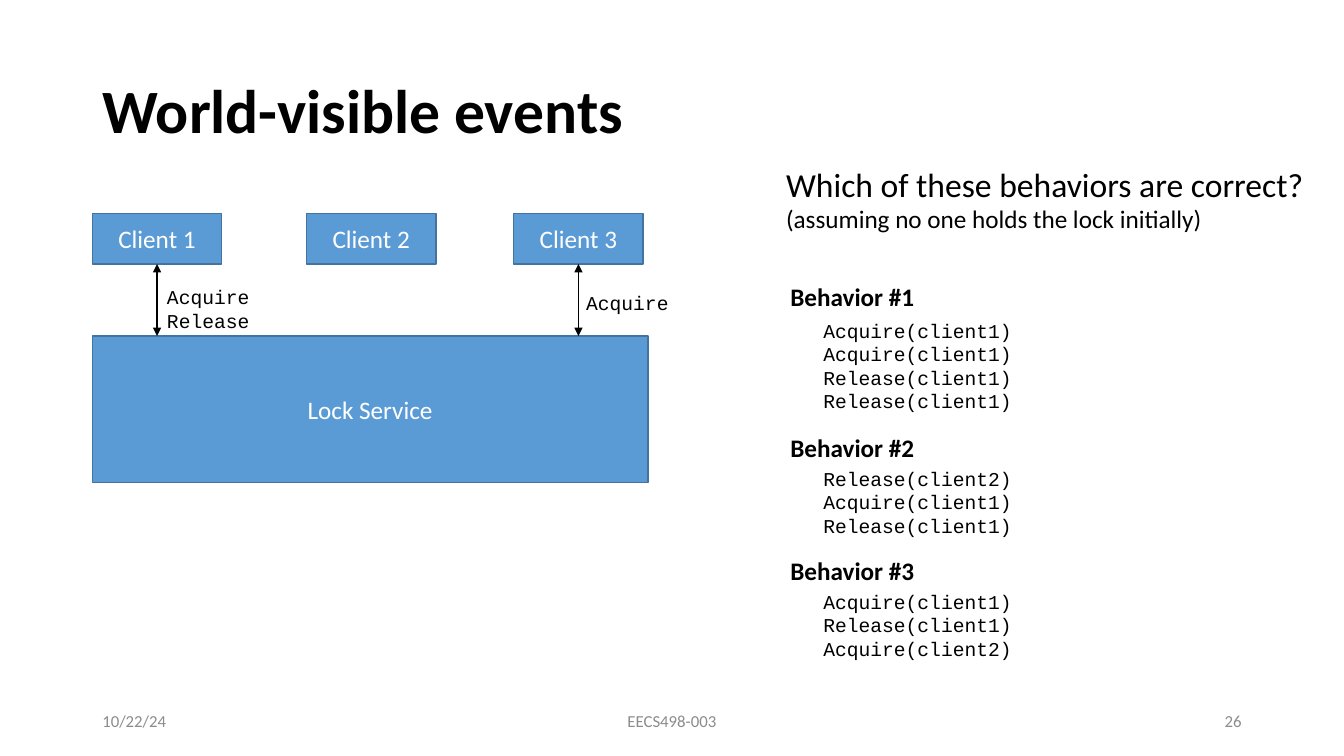
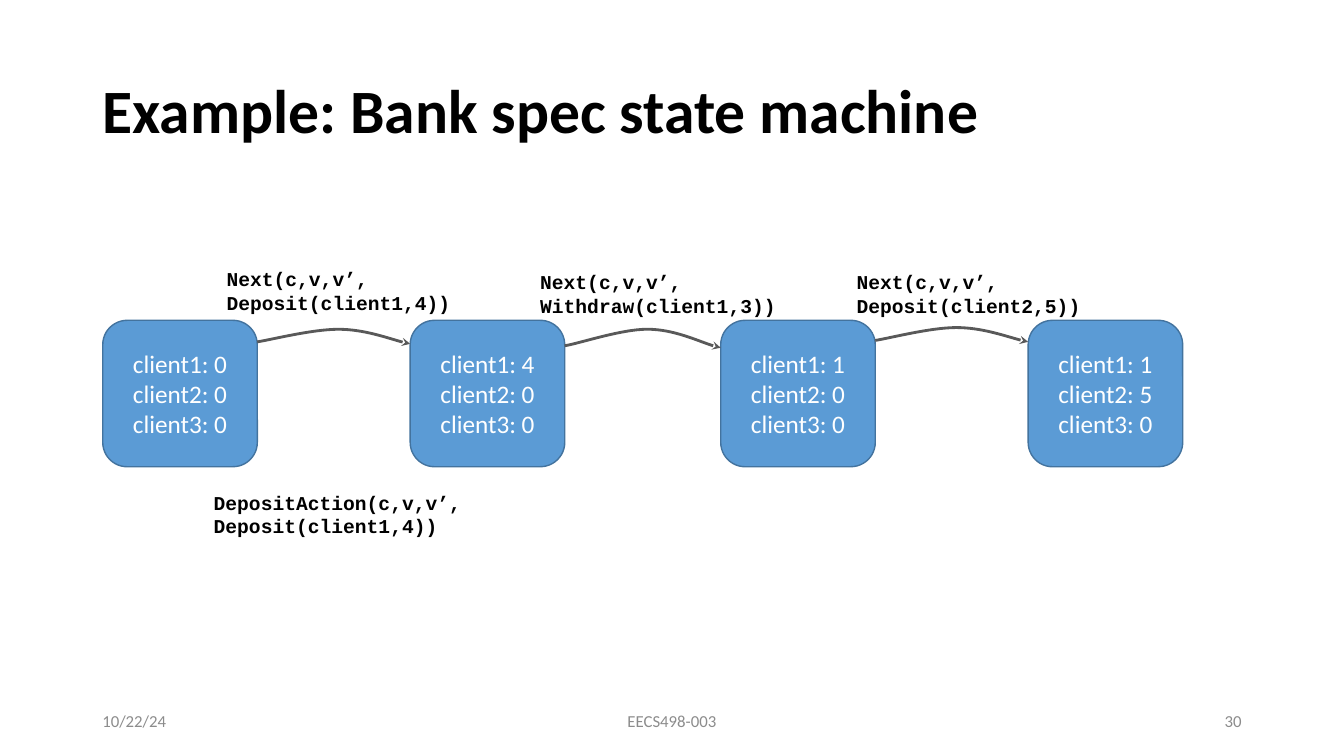
from lxml import etree
from pptx import Presentation
from pptx.dml.color import RGBColor
from pptx.enum.shapes import MSO_CONNECTOR, MSO_SHAPE
from pptx.enum.text import MSO_ANCHOR, PP_ALIGN
from pptx.oxml.ns import qn
from pptx.util import Pt

LEFT, CENTER, RIGHT = PP_ALIGN.LEFT, PP_ALIGN.CENTER, PP_ALIGN.RIGHT
TOP, MIDDLE = MSO_ANCHOR.TOP, MSO_ANCHOR.MIDDLE
RECTANGLE, ROUNDED = MSO_SHAPE.RECTANGLE, MSO_SHAPE.ROUNDED_RECTANGLE
TITLE_ONLY = 5

COLORS = {"text": "000000", "footer": "8C8C8C", "fill": "5B9BD5",
          "border": "43739E", "on_fill": "FFFFFF", "curve": "595959"}
STYLES = {
    "title": {"name": "Calibri", "size": Pt(44), "bold": True, "color": "text"},
    "footer": {"name": "Calibri", "size": Pt(12), "color": "footer"},
    "box": {"name": "Calibri", "size": Pt(18), "color": "on_fill"},
    "question": {"name": "Calibri", "size": Pt(24), "color": "text"},
    "note": {"name": "Calibri", "size": Pt(18), "color": "text"},
    "heading": {"name": "Calibri", "size": Pt(18), "bold": True, "color": "text"},
    "code": {"name": "Courier New", "size": Pt(14), "color": "text"},
    "bold_code": {"name": "Courier New", "size": Pt(14), "bold": True, "color": "text"},
}

TITLE_BOX = (66, 28.8, 828, 104.4)
FOOTER_TOP, FOOTER_HEIGHT = 500.4, 28.8
DATE, COURSE = "10/22/24", "EECS498-003"

CLIENTS = [("Client 1", 66), ("Client 2", 219), ("Client 3", 367)]
CLIENT_TOP, CLIENT_WIDTH, CLIENT_HEIGHT = 152.6, 92.4, 36
SERVICE_BOX = (66, 240, 396.8, 104.6)
CALLING_CLIENTS = [0, 2]
CALL_LABELS = [
    (["Acquire", "Release"], (112.2, 200.2, 85.7, 41)),
    (["Acquire"], (411.6, 204, 77.8, 24.5)),
]
QUESTION = [("Which of these behaviors are correct?", "question"),
            ("(assuming no one holds the lock initially)", "note")]
QUESTION_BOX = (554.4, 113.2, 389.6, 58.2)
BEHAVIORS = [
    ("Behavior #1", 197.4, 224,
     ["Acquire(client1)", "Acquire(client1)", "Release(client1)", "Release(client1)"]),
    ("Behavior #2", 305.2, 329.8,
     ["Release(client2)", "Acquire(client1)", "Release(client1)"]),
    ("Behavior #3", 393, 417.6,
     ["Acquire(client1)", "Release(client1)", "Acquire(client2)"]),
]
HEADING_LEFT, CODE_LEFT = 557.4, 581
CODE_LINE = 16.8

STATES = [(73.4, (0, 0, 0)), (293, (4, 0, 0)), (514.8, (1, 0, 0)), (734.4, (1, 5, 0))]
STATE_TOP, STATE_WIDTH, STATE_HEIGHT = 228.8, 110.4, 104.6
CURVE_STEPS = (0, 0.09, 0.36, 0.53, 0.7, 0.92, 1)
CURVE_HEIGHTS = [(244.2, 235.2, 245.6), (247, 235.2, 248.4), (243.2, 234, 244.2)]
ACTION_LABELS = [
    (["Next(c,v,v’,", "Deposit(client1,4))"], (154.8, 187.2, 177, 41)),
    (["Next(c,v,v’, Withdraw(client1,3))"], (378.8, 189.4, 191, 41)),
    (["Next(c,v,v’, Deposit(client2,5))"], (604.8, 189.4, 181, 41)),
    (["DepositAction(c,v,v’,", "Deposit(client1,4))"], (145.6, 347, 202.4, 41)),
]


def points(*lengths):
    return [Pt(length) for length in lengths]


def color(name):
    return RGBColor.from_string(COLORS[name])


def write(shape, lines, align=LEFT, anchor=TOP):
    frame = shape.text_frame
    frame.word_wrap = True
    frame.vertical_anchor = anchor
    for index, (text, style) in enumerate(lines):
        paragraph = frame.add_paragraph() if index else frame.paragraphs[0]
        paragraph.alignment = align
        run = paragraph.add_run()
        run.text = text
        for key, value in STYLES[style].items():
            if key == "color":
                run.font.color.rgb = color(value)
            else:
                setattr(run.font, key, value)


def styled(lines, style):
    return [(line, style) for line in lines]


def add_text(slide, box, lines, align=LEFT, anchor=TOP):
    write(slide.shapes.add_textbox(*points(*box)), lines, align, anchor)


def add_box(slide, kind, box, lines):
    shape = slide.shapes.add_shape(kind, *points(*box))
    shape.shadow.inherit = False
    shape.fill.solid()
    shape.fill.fore_color.rgb = color("fill")
    shape.line.color.rgb = color("border")
    shape.line.width = Pt(1)
    write(shape, styled(lines, "box"), CENTER, MIDDLE)


def format_line(shape, color_name, width, ends):
    shape.line.color.rgb = color(color_name)
    shape.line.width = Pt(width)
    outline = shape.line._get_or_add_ln()
    for tag, kind in ends.items():
        etree.SubElement(outline, qn(tag), type=kind)


def add_double_arrow(slide, x, top, bottom):
    connector = slide.shapes.add_connector(
        MSO_CONNECTOR.STRAIGHT, *points(x, top, x, bottom))
    format_line(connector, "text", 1, {"a:headEnd": "triangle", "a:tailEnd": "triangle"})
    etree.SubElement(connector._element.spPr, qn("a:effectLst"))


def add_curve(slide, left, right, heights):
    start, peak, end = heights
    rows = (start, start - 1.5, peak, peak, peak, end - 1.5, end)
    nodes = [points(left + (right - left) * step, row)
             for step, row in zip(CURVE_STEPS, rows)]
    builder = slide.shapes.build_freeform(*nodes[0])
    builder.add_line_segments(nodes[1:], close=False)
    shape = builder.convert_to_shape()
    segments = list(shape._element.iter(qn("a:lnTo")))
    for first in range(0, len(segments), 3):
        bezier = etree.Element(qn("a:cubicBezTo"))
        segments[first].addprevious(bezier)
        for segment in segments[first:first + 3]:
            bezier.append(segment[0])
            segment.getparent().remove(segment)
    shape.shadow.inherit = False
    shape.fill.background()
    format_line(shape, "curve", 2, {"a:tailEnd": "stealth"})


def add_slide(presentation, title, number):
    slide = presentation.slides.add_slide(presentation.slide_layouts[TITLE_ONLY])
    placeholder = slide.shapes.title
    for name, length in zip(("left", "top", "width", "height"), TITLE_BOX):
        setattr(placeholder, name, Pt(length))
    write(placeholder, [(title, "title")], LEFT, MIDDLE)
    placeholder.text_frame.paragraphs[0].line_spacing = 0.9
    for text, left, width, align in ((DATE, 66, 216, LEFT), (COURSE, 318, 324, CENTER),
                                     (number, 678, 216, RIGHT)):
        add_text(slide, (left, FOOTER_TOP, width, FOOTER_HEIGHT),
                 [(text, "footer")], align, MIDDLE)
    return slide


def build_events(presentation):
    slide = add_slide(presentation, "World-visible events", "26")
    for name, left in CLIENTS:
        add_box(slide, RECTANGLE, (left, CLIENT_TOP, CLIENT_WIDTH, CLIENT_HEIGHT), [name])
    add_box(slide, RECTANGLE, SERVICE_BOX, ["Lock Service"])
    for index in CALLING_CLIENTS:
        add_double_arrow(slide, CLIENTS[index][1] + CLIENT_WIDTH / 2,
                         CLIENT_TOP + CLIENT_HEIGHT, SERVICE_BOX[1])
    for lines, box in CALL_LABELS:
        add_text(slide, box, styled(lines, "code"))
    add_text(slide, QUESTION_BOX, QUESTION)
    for heading, heading_top, code_top, calls in BEHAVIORS:
        add_text(slide, (HEADING_LEFT, heading_top, 171.4, 29), [(heading, "heading")])
        add_text(slide, (CODE_LEFT, code_top, 315, CODE_LINE * len(calls) + 7.2),
                 styled(calls, "code"))


def build_bank(presentation):
    slide = add_slide(presentation, "Example: Bank spec state machine", "30")
    for left, balances in STATES:
        lines = [f"client{index}: {balance}" for index, balance in enumerate(balances, 1)]
        add_box(slide, ROUNDED, (left, STATE_TOP, STATE_WIDTH, STATE_HEIGHT), lines)
    for (left, _), (right, _), heights in zip(STATES, STATES[1:], CURVE_HEIGHTS):
        add_curve(slide, left + STATE_WIDTH, right, heights)
    for lines, box in ACTION_LABELS:
        add_text(slide, box, styled(lines, "bold_code"))


def main():
    presentation = Presentation()
    presentation.slide_width, presentation.slide_height = points(960, 540)
    build_events(presentation)
    build_bank(presentation)
    presentation.save("out.pptx")


if __name__ == "__main__":
    main()
